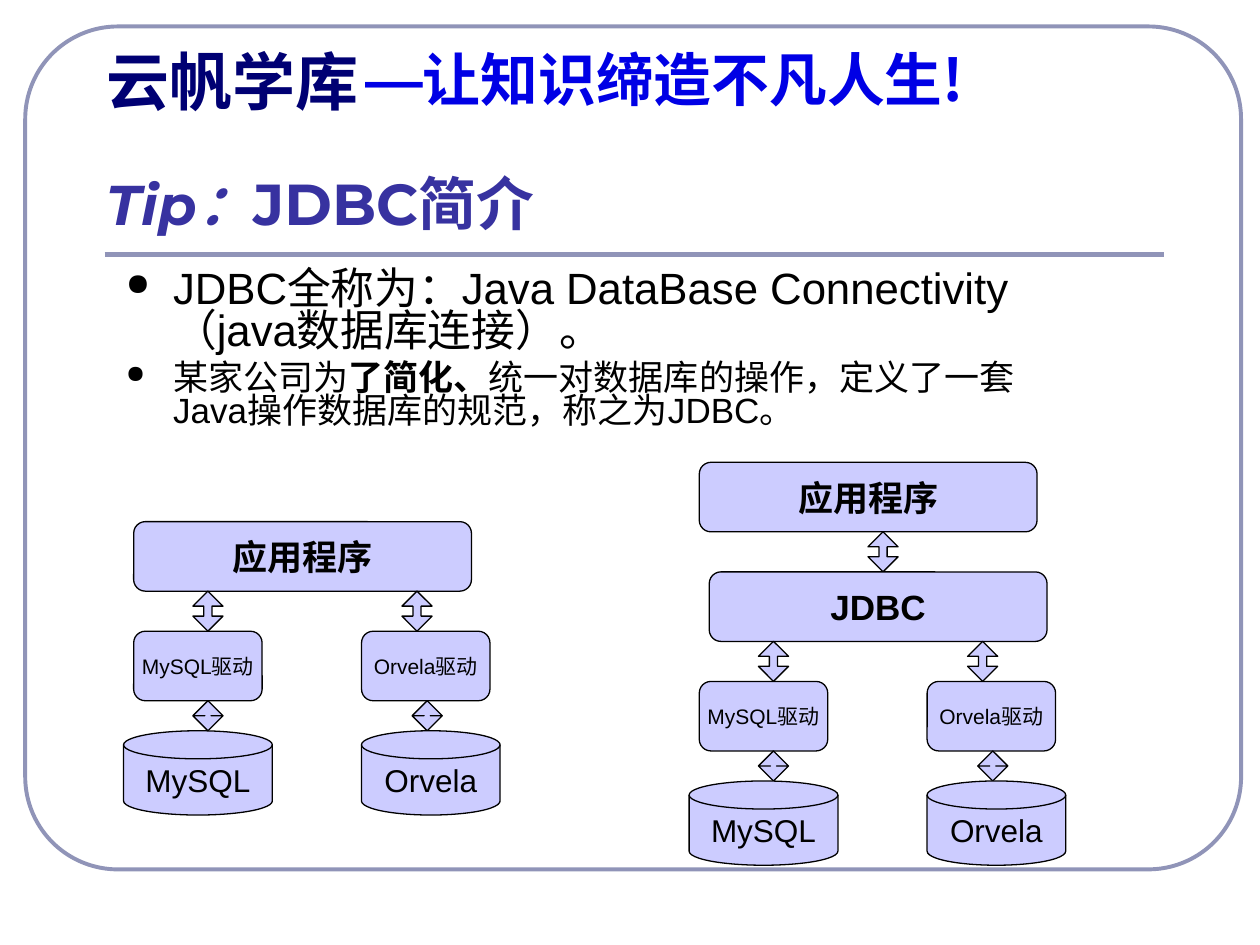
from lxml import etree
from pptx import Presentation
from pptx.dml.color import RGBColor
from pptx.enum.shapes import MSO_CONNECTOR, MSO_SHAPE
from pptx.enum.text import MSO_ANCHOR, PP_ALIGN
from pptx.oxml.ns import qn
from pptx.util import Pt

ROUNDED = MSO_SHAPE.ROUNDED_RECTANGLE
PROCESS = MSO_SHAPE.FLOWCHART_ALTERNATE_PROCESS
DISK = MSO_SHAPE.FLOWCHART_MAGNETIC_DISK
ARROW = MSO_SHAPE.UP_DOWN_ARROW
STRAIGHT = MSO_CONNECTOR.STRAIGHT
TOP, MIDDLE, BOTTOM = MSO_ANCHOR.TOP, MSO_ANCHOR.MIDDLE, MSO_ANCHOR.BOTTOM
CENTER = PP_ALIGN.CENTER

BLACK = RGBColor(0x00, 0x00, 0x00)
FRAME = RGBColor(0x90, 0x94, 0xB8)
LAVENDER = RGBColor(0xCC, 0xCC, 0xFF)
NAVY = RGBColor(0x00, 0x00, 0x73)
BLUE = RGBColor(0x00, 0x00, 0xE5)
INDIGO = RGBColor(0x37, 0x32, 0xA0)

LATIN, DISPLAY, CJK = "Arial", "Montserrat", "Noto Sans CJK SC"

HEADINGS = [
    ((201.6, 25.9, 453.6, 43.2), TOP, 0.9, [
        ("—", 33, True, False, BLUE, DISPLAY, DISPLAY),
        ("让知识缔造不凡人生!", 33, True, False, BLUE, CJK, CJK)]),
    ((54, 20.9, 193, 50.4), TOP, 1, [
        ("云帆学库", 36, True, False, NAVY, CJK, CJK)]),
    ((54, 25.9, 606.2, 113), BOTTOM, 1, [
        ("Tip：", 32, True, True, INDIGO, DISPLAY, CJK),
        ("JDBC简介", 33, True, False, INDIGO, DISPLAY, CJK)]),
]
BODY_BOX = (64.8, 151.2, 538.6, 108)
BULLETS = [
    (25, [("JDBC全称为：Java DataBase Connectivity（java数据库连接）。", False)]),
    (20, [("某家公司为", False), ("了简化、", True),
          ("统一对数据库的操作，定义了一套Java操作数据库的规范，称之为JDBC。", False)]),
]
DATABASES = [
    ("MySQL", 5.8, 0, 85, 39.6, 39.6),
    ("Orvela", 136, 136, 79.2, 159.1, 164.9),
]
STACKS = [
    (70.6, 298.1, [("应用程序", 5.8)]),
    (393.8, 264.2, [("应用程序", 5.8), ("JDBC", 11.5)]),
]
BAR_WIDTH, BOX_HEIGHT, DRIVER_WIDTH, DISK_HEIGHT = 193, 39.7, 73.4, 48.2
ARROW_WIDTH, LONG_GAP, SHORT_GAP, LAYER_ARROW_LEFT = 17.2, 22.9, 17.2, 102.2


def add_run(paragraph, text, size, bold, italic, color, latin, east_asian):
    run = paragraph.add_run()
    run.text = text
    font = run.font
    font.size, font.bold, font.italic = Pt(size), bold, italic
    font.color.rgb = color
    font.name = latin
    properties = run._r.get_or_add_rPr()
    etree.SubElement(properties, qn("a:ea"), typeface=east_asian)


def add_text_frame(slide, box, anchor):
    frame = slide.shapes.add_textbox(*map(Pt, box)).text_frame
    frame.word_wrap = True
    frame.vertical_anchor = anchor
    return frame


def add_bullet(paragraph):
    properties = paragraph._p.get_or_add_pPr()
    properties.set("marL", str(Pt(27)))
    properties.set("indent", str(Pt(-27)))
    color = etree.SubElement(properties, qn("a:buClr"))
    etree.SubElement(color, qn("a:srgbClr"), val=str(BLACK))
    etree.SubElement(properties, qn("a:buSzPct"), val="70000")
    etree.SubElement(properties, qn("a:buChar"), char="●")


def add_node(slide, kind, left, top, width, height, text="", size=18, bold=False):
    shape = slide.shapes.add_shape(kind, *map(Pt, (left, top, width, height)))
    shape.shadow.inherit = False
    shape.fill.solid()
    shape.fill.fore_color.rgb = LAVENDER
    shape.line.color.rgb = BLACK
    shape.line.width = Pt(0.75)
    if text:
        frame = shape.text_frame
        frame.word_wrap = False
        frame.vertical_anchor = MIDDLE
        paragraph = frame.paragraphs[0]
        paragraph.alignment = CENTER
        add_run(paragraph, text, size, bold, False, BLACK, LATIN, CJK)
    return shape


def add_arrow(slide, left, top, height):
    arrow = add_node(slide, ARROW, left, top, ARROW_WIDTH, height)
    arrow.adjustments[0] = 0.5
    arrow.adjustments[1] = 0.2 if height == SHORT_GAP else 0.27


def add_stack(slide, left, top, layers):
    for index, (label, offset) in enumerate(layers):
        if index:
            add_arrow(slide, left + LAYER_ARROW_LEFT, top - LONG_GAP, LONG_GAP)
        add_node(slide, ROUNDED, left + offset, top, BAR_WIDTH, BOX_HEIGHT, label, 20, True)
        top += BOX_HEIGHT + LONG_GAP
    arrow_top = top + BOX_HEIGHT
    disk_top = arrow_top + SHORT_GAP
    for name, driver_left, disk_left, disk_width, upper_left, lower_left in DATABASES:
        add_arrow(slide, left + upper_left, top - LONG_GAP, LONG_GAP)
        add_node(slide, PROCESS, left + driver_left, top, DRIVER_WIDTH, BOX_HEIGHT,
                 name + "驱动", 12)
        add_arrow(slide, left + lower_left, arrow_top, SHORT_GAP)
        add_node(slide, DISK, left + disk_left, disk_top, disk_width, DISK_HEIGHT, name)


def add_frame(slide):
    frame = slide.shapes.add_shape(ROUNDED, Pt(14.4), Pt(15.1), Pt(694.8), Pt(481.7))
    frame.shadow.inherit = False
    frame.adjustments[0] = 0.11
    frame.fill.background()
    rule = slide.shapes.add_connector(STRAIGHT, Pt(59.8), Pt(145.4), Pt(665.3), Pt(145.4))
    etree.SubElement(rule._element.spPr, qn("a:effectLst"))
    for shape, width in ((frame, 2.25), (rule, 3)):
        shape.line.color.rgb = FRAME
        shape.line.width = Pt(width)


def main():
    presentation = Presentation()
    presentation.slide_width, presentation.slide_height = Pt(720), Pt(540)
    slide = presentation.slides.add_slide(presentation.slide_layouts[6])
    add_frame(slide)

    for box, anchor, spacing, runs in HEADINGS:
        paragraph = add_text_frame(slide, box, anchor).paragraphs[0]
        paragraph.line_spacing = spacing
        for run in runs:
            add_run(paragraph, *run)

    body = add_text_frame(slide, BODY_BOX, TOP)
    for index, (size, runs) in enumerate(BULLETS):
        paragraph = body.add_paragraph() if index else body.paragraphs[0]
        add_bullet(paragraph)
        paragraph.line_spacing = 0.8
        if index:
            paragraph.space_before = Pt(5)
        for text, bold in runs:
            add_run(paragraph, text, size, bold, False, BLACK, LATIN, CJK)

    for left, top, layers in STACKS:
        add_stack(slide, left, top, layers)
    presentation.save("out.pptx")


if __name__ == "__main__":
    main()
